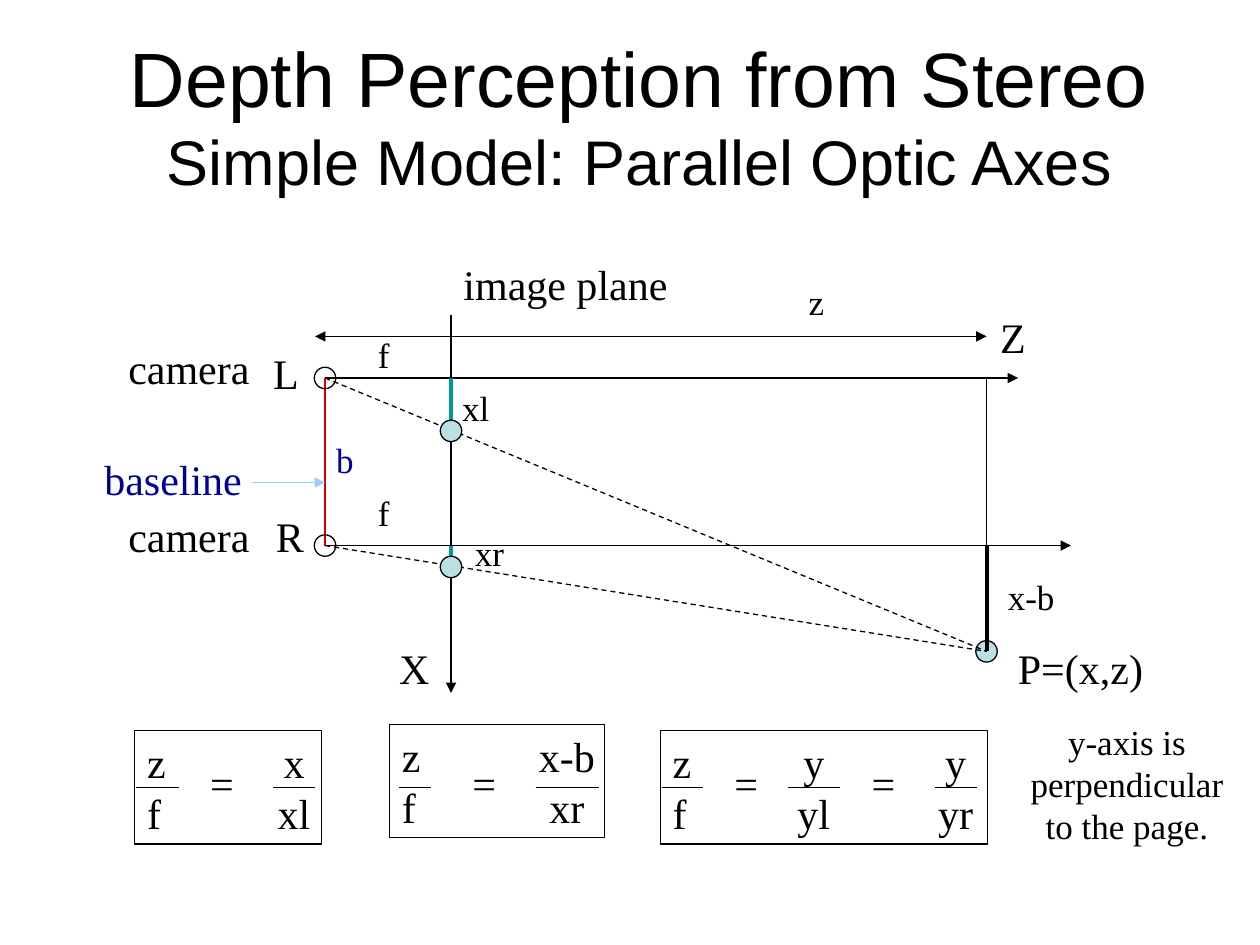
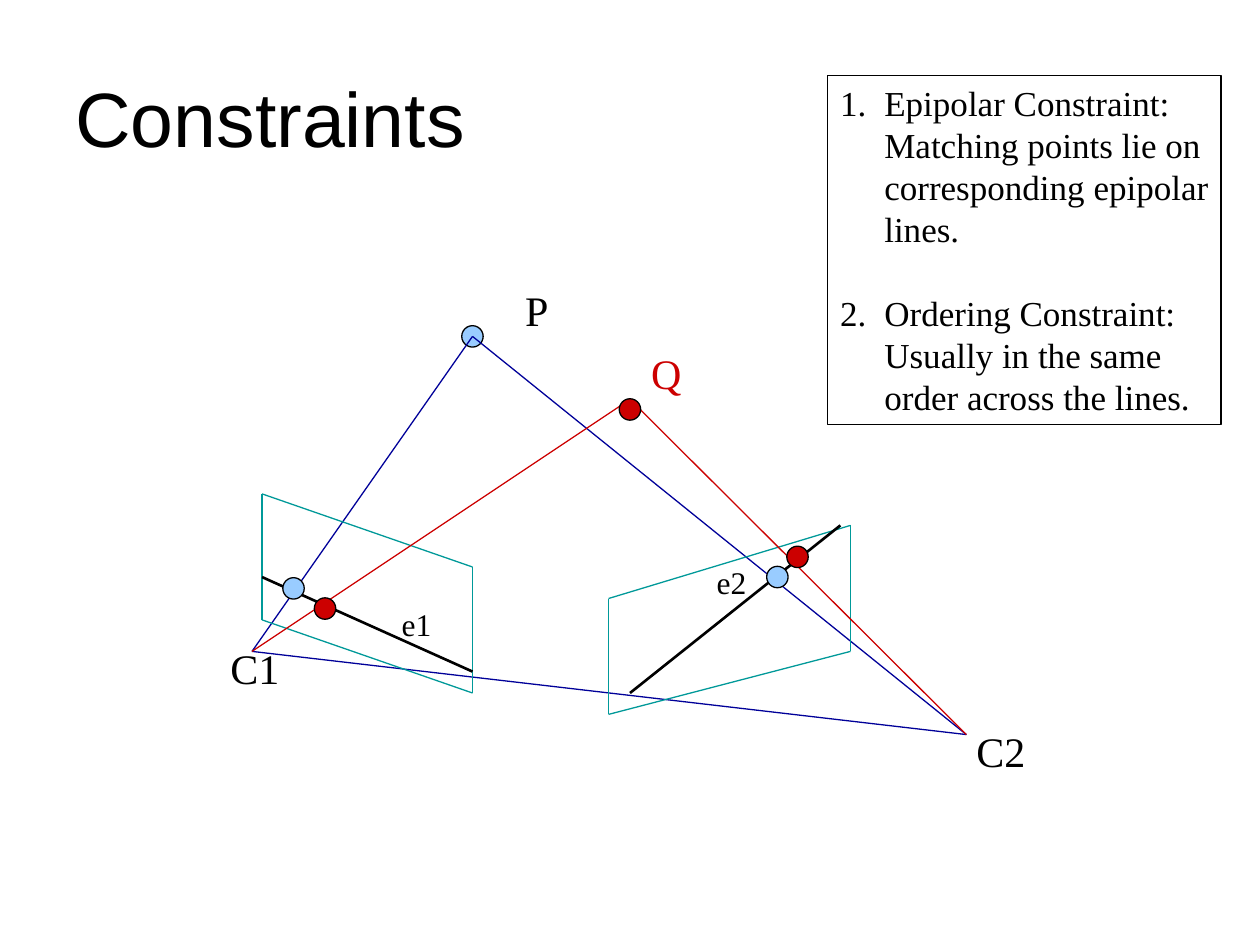
from itertools import pairwise
from typing import NamedTuple

import pptx
import pptx.dml.color
import pptx.enum.dml
import pptx.enum.shapes
import pptx.enum.text
import pptx.oxml.ns
import pptx.slide
import pptx.util
from lxml import etree
from pptx.util import Inches

RGBColor = pptx.dml.color.RGBColor
ALIGN = pptx.enum.text.PP_ALIGN
ANCHOR = pptx.enum.text.MSO_ANCHOR

BLACK = RGBColor(0x00, 0x00, 0x00)
RED = RGBColor(0xCC, 0x00, 0x00)
NAVY = RGBColor(0x00, 0x00, 0x99)
TEAL = RGBColor(0x00, 0x99, 0x99)
SKY = RGBColor(0x99, 0xCC, 0xFF)
PALE_TEAL = RGBColor(0xBB, 0xE0, 0xE3)

TITLE_FONT = "Arial"
BODY_FONT = "Times New Roman"
DOT_SIZE = 0.17
LABEL_HEIGHT = {18: 0.4, 20: 0.44, 24: 0.5}

Point = tuple[float, float]


class Label(NamedTuple):
    text: str
    left: float
    top: float
    width: float
    size: int = 24
    color: RGBColor = BLACK


class Stroke(NamedTuple):
    start: Point
    end: Point
    color: RGBColor = BLACK
    weight: float = 0.75
    dashed: bool = False
    arrows: tuple[str, ...] = ()


class Dot(NamedTuple):
    center: Point
    fill: RGBColor | None = None


class Equation(NamedTuple):
    text: str
    left: float
    top: float
    width: float
    bars: tuple[Point, ...]  # left and right end of each fraction bar
    equals: tuple[float, ...]


# Shared drawing functions
def add_xml(parent: etree._Element, tag: str, **attributes: str) -> etree._Element:
    return etree.SubElement(parent, pptx.oxml.ns.qn(tag), attributes)


def add_text(slide: pptx.slide.Slide, text: str, left: float, top: float,
             width: float, height: float, *, sizes: tuple[int, ...] = (24,),
             font: str = BODY_FONT, color: RGBColor = BLACK,
             align: ALIGN = ALIGN.LEFT, anchor: ANCHOR = ANCHOR.TOP,
             wrap: bool = True, border: bool = False, margin_right: float = 0.1,
             tabs: tuple[float, ...] = (), number_indent: float = 0,
             gap: float = 0) -> None:
    """Write one paragraph per line; the last size serves any further lines."""
    box = slide.shapes.add_textbox(Inches(left), Inches(top), Inches(width), Inches(height))
    if border:
        box.line.color.rgb = BLACK
        box.line.width = pptx.util.Pt(0.75)
    frame = box.text_frame
    frame.word_wrap = wrap
    frame.vertical_anchor = anchor
    frame.margin_right = Inches(margin_right)
    for index, line in enumerate(text.split("\n")):
        paragraph = frame.paragraphs[0] if index == 0 else frame.add_paragraph()
        paragraph.text = line
        properties = paragraph._p.get_or_add_pPr()
        if number_indent:
            properties.set("marL", str(Inches(number_indent)))
            properties.set("indent", str(-Inches(number_indent)))
            add_xml(properties, "a:buFont", typeface=font)
            add_xml(properties, "a:buAutoNum", type="arabicPeriod")
        if tabs:
            stops = add_xml(properties, "a:tabLst")
            for stop in tabs:
                add_xml(stops, "a:tab", pos=str(Inches(stop)), algn="ctr")
        paragraph.alignment = align
        if index and gap:
            paragraph.space_before = pptx.util.Pt(gap)
        for run in paragraph.runs:
            run.font.name = font
            run.font.size = pptx.util.Pt(sizes[min(index, len(sizes) - 1)])
            run.font.color.rgb = color


def add_labels(slide: pptx.slide.Slide, labels: list[Label]) -> None:
    for label in labels:
        add_text(slide, label.text, label.left, label.top, label.width,
                 LABEL_HEIGHT[label.size], sizes=(label.size,), color=label.color,
                 wrap=False, margin_right=0)


def add_strokes(slide: pptx.slide.Slide, strokes: list[Stroke]) -> None:
    for stroke in strokes:
        line = slide.shapes.add_connector(
            pptx.enum.shapes.MSO_CONNECTOR.STRAIGHT,
            *(Inches(value) for value in stroke.start + stroke.end))
        line.line.color.rgb = stroke.color
        line.line.width = pptx.util.Pt(stroke.weight)
        if stroke.dashed:
            line.line.dash_style = pptx.enum.dml.MSO_LINE.DASH
        for end in stroke.arrows:
            add_xml(line.line._get_or_add_ln(), f"a:{end}", type="triangle")
        add_xml(line._element.spPr, "a:effectLst")


def add_dots(slide: pptx.slide.Slide, dots: list[Dot]) -> None:
    for dot in dots:
        left, top = (Inches(value - DOT_SIZE / 2) for value in dot.center)
        circle = slide.shapes.add_shape(pptx.enum.shapes.MSO_SHAPE.OVAL, left, top,
                                        Inches(DOT_SIZE), Inches(DOT_SIZE))
        circle.shadow.inherit = False
        circle.line.color.rgb = BLACK
        circle.line.width = pptx.util.Pt(0.75)
        if dot.fill is None:
            circle.fill.background()
        else:
            circle.fill.solid()
            circle.fill.fore_color.rgb = dot.fill


def add_title(slide: pptx.slide.Slide, text: str, left: float, top: float,
              width: float, height: float, align: ALIGN) -> None:
    add_text(slide, text, left, top, width, height, sizes=(44, 36), font=TITLE_FONT,
             align=align, anchor=ANCHOR.MIDDLE)


def add_equation(slide: pptx.slide.Slide, equation: Equation) -> None:
    # Later fractions are centred on their bars
    tabs = tuple((start + end) / 2 - equation.left - 0.1 for start, end in equation.bars[1:])
    add_text(slide, equation.text, equation.left, equation.top, equation.width, 0.9,
             tabs=tabs, border=True, margin_right=0)
    add_strokes(slide, [Stroke((start, 6.25), (end, 6.25)) for start, end in equation.bars])
    add_labels(slide, [Label("=", left, 5.96, 0.39) for left in equation.equals])


def build_stereo_slide(slide: pptx.slide.Slide) -> None:
    add_title(slide, "Depth Perception from Stereo\nSimple Model: Parallel Optic Axes",
              0.35, 0.19, 9.45, 1.43, ALIGN.CENTER)

    # Cameras, image plane and the observed point
    left_camera, right_camera = (2.58, 3), (2.58, 4.33)
    left_image, right_image = (3.58, 3.42), (3.58, 4.5)
    point = (7.83, 5.17)
    forward = ("tailEnd",)
    add_dots(slide, [Dot(point, PALE_TEAL)])
    add_strokes(slide, [
        Stroke(left_camera, (8.08, 3), arrows=forward),
        Stroke(right_camera, (8.5, 4.33), arrows=forward),
        Stroke((3.58, 2.5), (3.58, 5.5), arrows=forward),
        Stroke(left_camera, point, dashed=True),
        Stroke(right_camera, point, dashed=True),
        Stroke((2.5, 2.67), (7.83, 2.67), arrows=("headEnd", "tailEnd")),
        Stroke(left_camera, right_camera, RED, 1),
        Stroke((2, 3.83), (2.58, 3.83), SKY, arrows=forward),
        Stroke(point, (7.83, 3)),
        Stroke((3.58, 3), left_image, TEAL, 2.25),
        Stroke((3.58, 4.33), right_image, TEAL, 2.25),
        Stroke((7.83, 4.33), point, weight=2.25),
    ])
    add_dots(slide, [Dot(left_camera), Dot(right_camera),
                     Dot(left_image, PALE_TEAL), Dot(right_image, PALE_TEAL)])
    add_labels(slide, [
        Label("camera", 0.92, 2.67, 1.16),
        Label("L", 2.07, 2.71, 0.4),
        Label("f", 2.9, 2.6, 0.29, 20),
        Label("camera", 0.92, 4, 1.16),
        Label("R", 2.09, 4, 0.42),
        Label("f", 2.9, 3.85, 0.29, 20),
        Label("baseline", 0.73, 3.55, 1.29, color=NAVY),
        Label("b", 2.57, 3.43, 0.34, 20, NAVY),
        Label("image plane", 3.58, 2, 1.82),
        Label("xl", 3.57, 3.02, 0.41, 20),
        Label("xr", 3.67, 4.17, 0.43, 20),
        Label("z", 6.32, 2.18, 0.32, 20),
        Label("Z", 7.84, 2.42, 0.4),
        Label("X", 3.07, 5.05, 0.44),
        Label("x-b", 7.9, 4.52, 0.57, 20),
        Label("P=(x,z)", 7.98, 5.05, 1.19),
    ])

    # Similar-triangle equations
    for equation in (
        Equation("z\tx\nf\txl", 1.07, 5.8, 1.48, ((1.08, 1.42), (2.17, 2.5)), (1.57,)),
        Equation("z\tx-b\nf\txr", 3.09, 5.75, 1.71, ((3.17, 3.42), (4.25, 4.75)), (3.65,)),
        Equation("z\ty\ty\nf\tyl\tyr", 5.24, 5.8, 2.6,
                 ((5.25, 5.58), (6.25, 6.67), (7.42, 7.75)), (5.73, 6.82)),
    ):
        add_equation(slide, equation)
    add_text(slide, "y-axis is\nperpendicular\nto the page.", 8.08, 5.67, 1.73, 1.1,
             sizes=(20,), align=ALIGN.CENTER, wrap=False)


def build_constraints_slide(slide: pptx.slide.Slide) -> None:
    add_title(slide, "Constraints", 0.5, 0.3, 9, 1.25, ALIGN.LEFT)

    # Rays from both camera centres to P and Q
    c1, c2, p, q = (2, 5.17), (7.67, 5.83), (3.75, 2.67), (5, 3.17)
    add_dots(slide, [Dot(p, SKY)])
    add_strokes(slide, [Stroke(*side, NAVY) for side in pairwise((c1, p, c2, c1))])

    # Image planes with their epipolar lines
    left_plane = ((2.08, 3.92), (3.75, 4.5), (3.75, 5.5), (2.08, 4.92))
    right_plane = ((4.83, 4.75), (6.75, 4.17), (6.75, 5.17), (4.83, 5.67))
    for corners in (left_plane, right_plane):
        add_strokes(slide, [Stroke(*side, TEAL) for side in pairwise(corners + corners[:1])])
    add_strokes(slide, [
        Stroke((2.08, 4.58), (3.75, 5.33), weight=1.5),
        Stroke((5, 5.5), (6.67, 4.17), weight=1.5),
    ])
    add_dots(slide, [Dot((2.33, 4.67), SKY), Dot((6.17, 4.58), SKY)])
    add_strokes(slide, [Stroke(*side, RED) for side in pairwise((c2, q, c1))])
    add_dots(slide, [Dot(center, RED) for center in ((2.58, 4.83), (6.33, 4.42), (5, 3.25))])
    add_labels(slide, [
        Label("P", 4.07, 2.21, 0.38),
        Label("Q", 5.07, 2.71, 0.44, color=RED),
        Label("e1", 3.09, 4.75, 0.43, 18),
        Label("e2", 5.59, 4.42, 0.43, 18),
        Label("C1", 1.73, 5.05, 0.59),
        Label("C2", 7.65, 5.71, 0.59),
    ])

    # Constraint list
    add_text(slide,
             "Epipolar Constraint:\vMatching points lie on corresponding epipolar lines.\n"
             "Ordering Constraint:\vUsually in the same order across the lines.",
             6.57, 0.6, 3.12, 2.77, sizes=(20,), border=True,
             margin_right=0.05, number_indent=0.35, gap=24)


def main() -> None:
    deck = pptx.Presentation()
    deck.slide_width, deck.slide_height = Inches(10), Inches(7.5)
    blank = deck.slide_layouts[6]
    for build in (build_stereo_slide, build_constraints_slide):
        build(deck.slides.add_slide(blank))
    deck.save("out.pptx")


if __name__ == "__main__":
    main()
